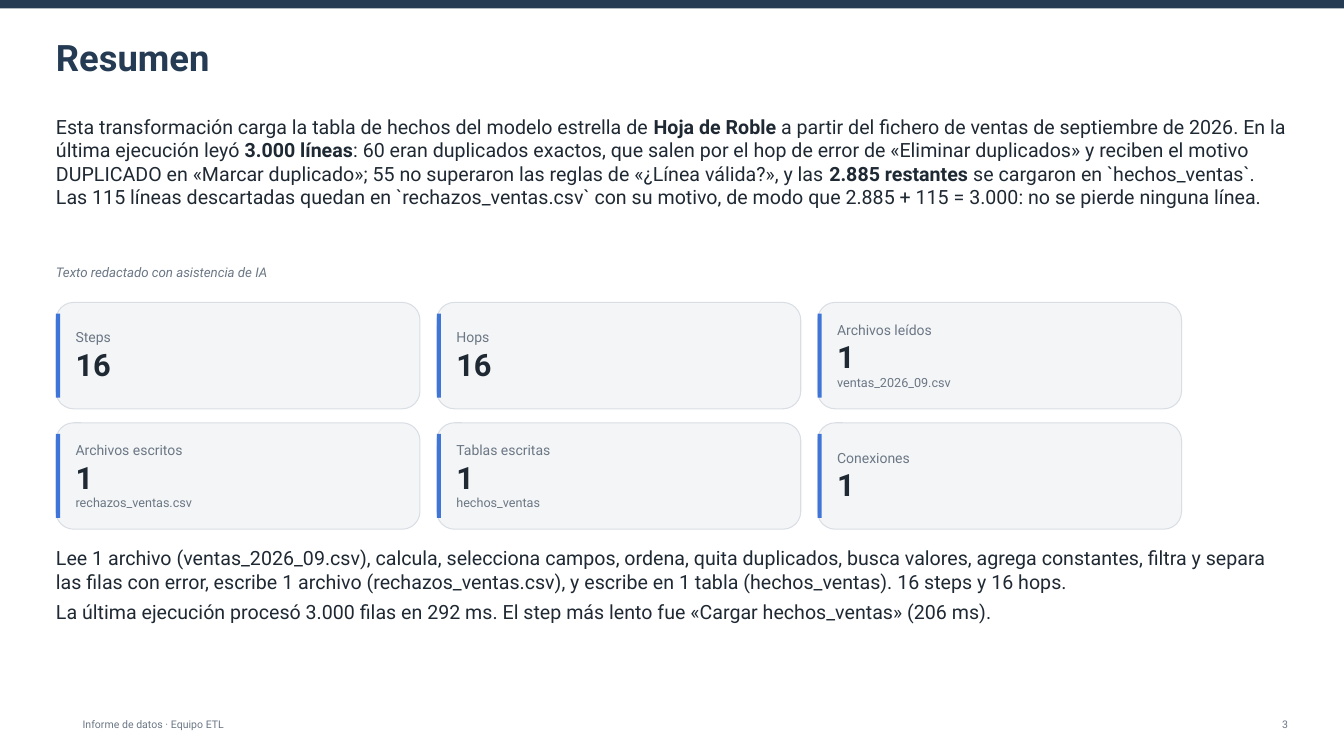
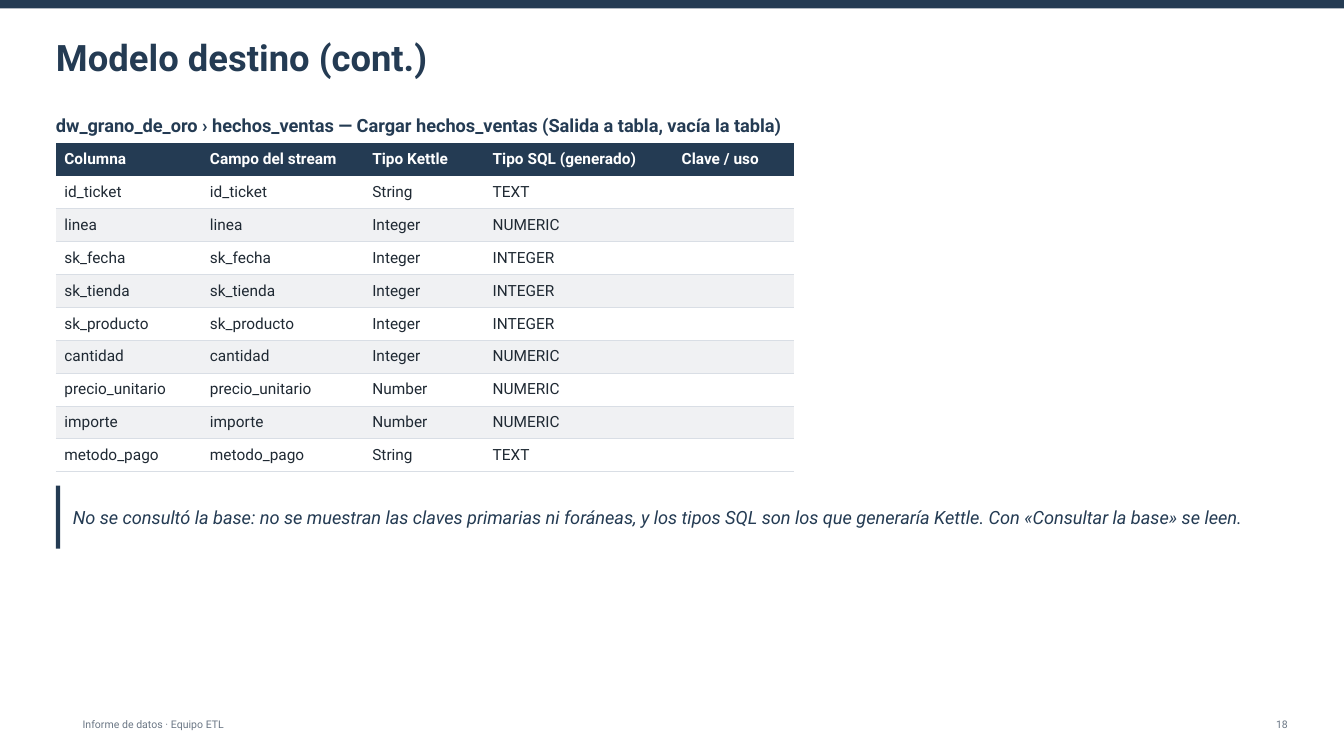
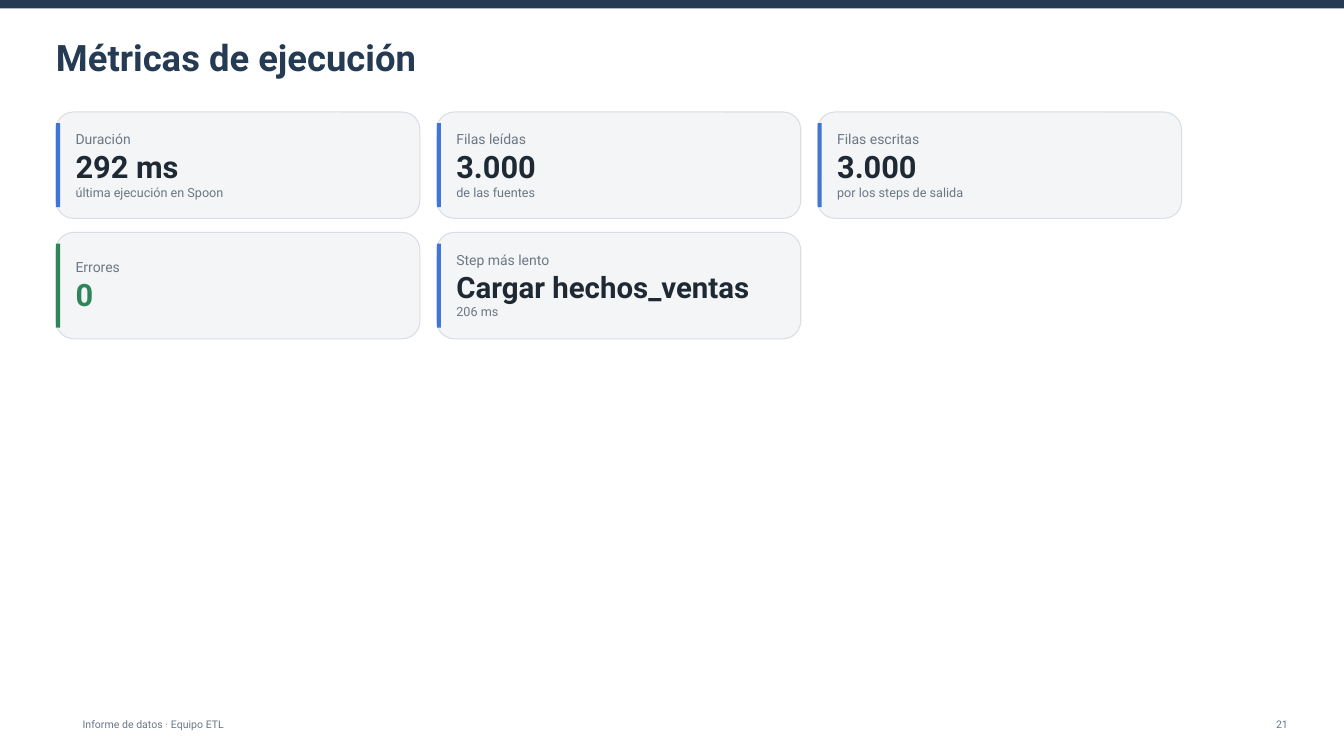
import lxml.etree
import pptx
import pptx.dml.color
import pptx.enum.shapes
import pptx.enum.text
import pptx.oxml.ns
import pptx.util

# Shared style; every length is in points on a 960 x 540 grid
PAGE_W, PAGE_H = 960, 540
MARGIN = 40
CONTENT_W = PAGE_W - 2 * MARGIN
CONTENT_TOP = 80
FONT = "Roboto"
NAVY, INK, GREY, WHITE = "243B53", "1F2933", "6B7785", "FFFFFF"
BLUE, GREEN, PANEL, RULE, STRIPE = "3F74D8", "2F855A", "F4F5F6", "D9DEE5", "F0F1F3"
FOOTER = "Informe de datos · Equipo ETL"
NO_TABLE_STYLE = "{2D5ABB26-0587-4C30-8999-92F81FD0307C}"

TITLE = {"size": 26, "color": NAVY, "bold": True}
BODY = {"size": 14, "color": INK}
STRONG = BODY | {"bold": True}
NOTE = {"size": 9.5, "color": GREY, "italic": True}
SUBTITLE = {"size": 13, "color": NAVY, "bold": True}
QUOTE = {"size": 13, "color": NAVY, "italic": True}
SMALL = {"size": 7.5, "color": GREY}
LABEL = {"size": 10, "color": GREY}
DETAIL = {"size": 9, "color": GREY}
HEADER_CELL = {"size": 11, "color": WHITE, "bold": True}
BODY_CELL = {"size": 11, "color": INK}

TOP = pptx.enum.text.MSO_ANCHOR.TOP
MIDDLE = pptx.enum.text.MSO_ANCHOR.MIDDLE
LEFT = pptx.enum.text.PP_ALIGN.LEFT
RIGHT = pptx.enum.text.PP_ALIGN.RIGHT
RECT = pptx.enum.shapes.MSO_SHAPE.RECTANGLE
ROUNDED = pptx.enum.shapes.MSO_SHAPE.ROUNDED_RECTANGLE


def rgb(value):
    return pptx.dml.color.RGBColor.from_string(value)


def points(*values):
    return [pptx.util.Pt(value) for value in values]


def format_font(font, style):
    font.name = FONT
    for key, value in style.items():
        if key == "color":
            font.color.rgb = rgb(value)
        else:
            setattr(font, key, pptx.util.Pt(value) if key == "size" else value)


def set_insets(target, side, vertical):
    for edge, inset in {"left": side, "right": side, "top": vertical, "bottom": vertical}.items():
        setattr(target, f"margin_{edge}", pptx.util.Pt(inset))


def fill_frame(frame, paragraphs, anchor=TOP, align=LEFT, after=0, inset=2):
    """Each paragraph is a list of (text, style) runs."""
    frame.word_wrap = True
    frame.auto_size = pptx.enum.text.MSO_AUTO_SIZE.NONE
    frame.vertical_anchor = anchor
    set_insets(frame, 0, inset)
    for index, runs in enumerate(paragraphs):
        paragraph = frame.add_paragraph() if index else frame.paragraphs[0]
        paragraph.alignment = align
        paragraph.space_after = pptx.util.Pt(after)
        for text, style in runs:
            run = paragraph.add_run()
            run.text = text
            format_font(run.font, style)


def add_text(slide, box, paragraphs, **layout):
    fill_frame(slide.shapes.add_textbox(*points(*box)).text_frame, paragraphs, **layout)


def add_panel(slide, box, fill, kind=RECT, outline=None):
    panel = slide.shapes.add_shape(kind, *points(*box))
    panel.shadow.inherit = False
    panel.fill.solid()
    panel.fill.fore_color.rgb = rgb(fill)
    if outline:
        panel.line.color.rgb = rgb(outline)
        panel.line.width = pptx.util.Pt(0.75)
    else:
        panel.line.fill.background()


def add_page(deck, title, number):
    """Title, top band and footer common to all slides."""
    slide = deck.slides.add_slide(deck.slide_layouts[5])
    heading = slide.shapes.title
    heading.left, heading.top, heading.width, heading.height = points(MARGIN, 16, CONTENT_W, 50)
    fill_frame(heading.text_frame, [[(title, TITLE)]], anchor=MIDDLE, inset=3.6)
    add_panel(slide, (0, 0, PAGE_W, 6), NAVY)
    add_text(slide, (59, 508, 400, 18), [[(FOOTER, SMALL)]], anchor=MIDDLE)
    add_text(slide, (800, 508, 120, 18), [[(str(number), SMALL)]], anchor=MIDDLE, align=RIGHT)
    return slide


def add_card(slide, left, top, label, value, detail="", accent=BLUE, ink=INK, size=22):
    add_panel(slide, (left, top, 260, 76), PANEL, ROUNDED, RULE)
    add_panel(slide, (left, top + 8, 3, 60), accent)
    lines = [[(label, LABEL)], [(value, {"size": size, "color": ink, "bold": True})]]
    if detail:
        lines.append([(detail, DETAIL)])
    add_text(slide, (left + 14, top + 6, 236, 64), lines, anchor=MIDDLE)


def add_cards(slide, top, cards, columns=3):
    for index, card in enumerate(cards):
        row, column = divmod(index, columns)
        add_card(slide, MARGIN + column * 272, top + row * 86, **card)


def add_quote(slide, top, text):
    add_panel(slide, (MARGIN, top, 3, 45), NAVY)
    add_text(slide, (MARGIN + 12, top, CONTENT_W - 12, 45), [[(text, QUOTE)]], anchor=MIDDLE)


def add_bottom_border(cell, color):
    border = lxml.etree.Element(pptx.oxml.ns.qn("a:lnB"), w=str(pptx.util.Pt(0.75)))
    solid = lxml.etree.SubElement(border, pptx.oxml.ns.qn("a:solidFill"))
    lxml.etree.SubElement(solid, pptx.oxml.ns.qn("a:srgbClr"), val=color)
    cell._tc.get_or_add_tcPr().insert(0, border)


def format_cell(cell, text, style, fill, border):
    cell.fill.solid()
    cell.fill.fore_color.rgb = rgb(fill)
    cell.vertical_anchor = MIDDLE
    set_insets(cell, 6, 3)
    add_bottom_border(cell, border)
    paragraph = cell.text_frame.paragraphs[0]
    if text:
        run = paragraph.add_run()
        run.text = text
        format_font(run.font, style)
    else:
        # An empty cell needs its own text size to keep the row height
        lxml.etree.SubElement(paragraph._p, pptx.oxml.ns.qn("a:endParaRPr"),
                              sz=str(style["size"] * 100))


def add_grid(slide, top, widths, rows, row_height=23.5):
    frame = slide.shapes.add_table(
        len(rows), len(widths),
        *points(MARGIN, top, sum(widths), row_height * len(rows)))
    grid = frame.table
    grid.horz_banding = False
    grid._tbl.tblPr.find(pptx.oxml.ns.qn("a:tableStyleId")).text = NO_TABLE_STYLE
    for column, width in zip(grid.columns, widths):
        column.width = pptx.util.Pt(width)
    for index, row in enumerate(rows):
        grid.rows[index].height = pptx.util.Pt(row_height)
        if index == 0:
            look = HEADER_CELL, NAVY, NAVY
        else:
            look = BODY_CELL, WHITE if index % 2 else STRIPE, RULE
        for column, text in enumerate(row):
            format_cell(grid.cell(index, column), text, *look)


def build_summary(deck):
    slide = add_page(deck, "Resumen", 3)
    add_text(slide, (MARGIN, CONTENT_TOP, CONTENT_W, 103), [[
        ("Esta transformación carga la tabla de hechos del modelo estrella de ", BODY),
        ("Hoja de Roble", STRONG),
        (" a partir del fichero de ventas de septiembre de 2026. En la última ejecución leyó ", BODY),
        ("3.000 líneas", STRONG),
        (": 60 eran duplicados exactos, que salen por el hop de error de «Eliminar duplicados» "
         "y reciben el motivo DUPLICADO en «Marcar duplicado»; 55 no superaron las reglas de "
         "«¿Línea válida?», y las ", BODY),
        ("2.885 restantes", STRONG),
        (" se cargaron en `hechos_ventas`. Las 115 líneas descartadas quedan en "
         "`rechazos_ventas.csv` con su motivo, de modo que 2.885 + 115 = 3.000: "
         "no se pierde ninguna línea.", BODY),
    ]], after=4.9)
    add_text(slide, (MARGIN, 187, CONTENT_W, 19),
             [[("Texto redactado con asistencia de IA", NOTE)]])
    add_cards(slide, 216, [
        {"label": "Steps", "value": "16"},
        {"label": "Hops", "value": "16"},
        {"label": "Archivos leídos", "value": "1", "detail": "ventas_2026_09.csv"},
        {"label": "Archivos escritos", "value": "1", "detail": "rechazos_ventas.csv"},
        {"label": "Tablas escritas", "value": "1", "detail": "hechos_ventas"},
        {"label": "Conexiones", "value": "1"},
    ])
    add_text(slide, (MARGIN, 388, CONTENT_W, 96), [
        [("Lee 1 archivo (ventas_2026_09.csv), calcula, selecciona campos, ordena, quita "
          "duplicados, busca valores, agrega constantes, filtra y separa las filas con error, "
          "escribe 1 archivo (rechazos_ventas.csv), y escribe en 1 tabla (hechos_ventas). "
          "16 steps y 16 hops.", BODY)],
        [("La última ejecución procesó 3.000 filas en 292 ms. El step más lento fue "
          "«Cargar hechos_ventas» (206 ms).", BODY)],
    ], after=4.9)


def build_target_model(deck):
    slide = add_page(deck, "Modelo destino (cont.)", 18)
    add_text(slide, (MARGIN, CONTENT_TOP, CONTENT_W, 20), [[(
        "dw_grano_de_oro › hechos_ventas — Cargar hechos_ventas (Salida a tabla, vacía la tabla)",
        SUBTITLE)]])
    header = ("Columna", "Campo del stream", "Tipo Kettle", "Tipo SQL (generado)", "Clave / uso")
    fields = [
        ("id_ticket", "String", "TEXT"),
        ("linea", "Integer", "NUMERIC"),
        ("sk_fecha", "Integer", "INTEGER"),
        ("sk_tienda", "Integer", "INTEGER"),
        ("sk_producto", "Integer", "INTEGER"),
        ("cantidad", "Integer", "NUMERIC"),
        ("precio_unitario", "Number", "NUMERIC"),
        ("importe", "Number", "NUMERIC"),
        ("metodo_pago", "String", "TEXT"),
    ]
    # Each column takes the stream field of the same name
    rows = [header] + [(name, name, kettle, sql, "") for name, kettle, sql in fields]
    add_grid(slide, 102, (104, 116, 86, 135, 86), rows)
    add_quote(slide, 347,
              "No se consultó la base: no se muestran las claves primarias ni foráneas, y los "
              "tipos SQL son los que generaría Kettle. Con «Consultar la base» se leen.")


def build_metrics(deck):
    slide = add_page(deck, "Métricas de ejecución", 21)
    add_cards(slide, CONTENT_TOP, [
        {"label": "Duración", "value": "292 ms", "detail": "última ejecución en Spoon"},
        {"label": "Filas leídas", "value": "3.000", "detail": "de las fuentes"},
        {"label": "Filas escritas", "value": "3.000", "detail": "por los steps de salida"},
        {"label": "Errores", "value": "0", "accent": GREEN, "ink": GREEN},
        {"label": "Step más lento", "value": "Cargar hechos_ventas", "detail": "206 ms", "size": 21},
    ])


def main():
    deck = pptx.Presentation()
    deck.slide_width, deck.slide_height = points(PAGE_W, PAGE_H)
    build_summary(deck)
    build_target_model(deck)
    build_metrics(deck)
    deck.save("out.pptx")


if __name__ == "__main__":
    main()
